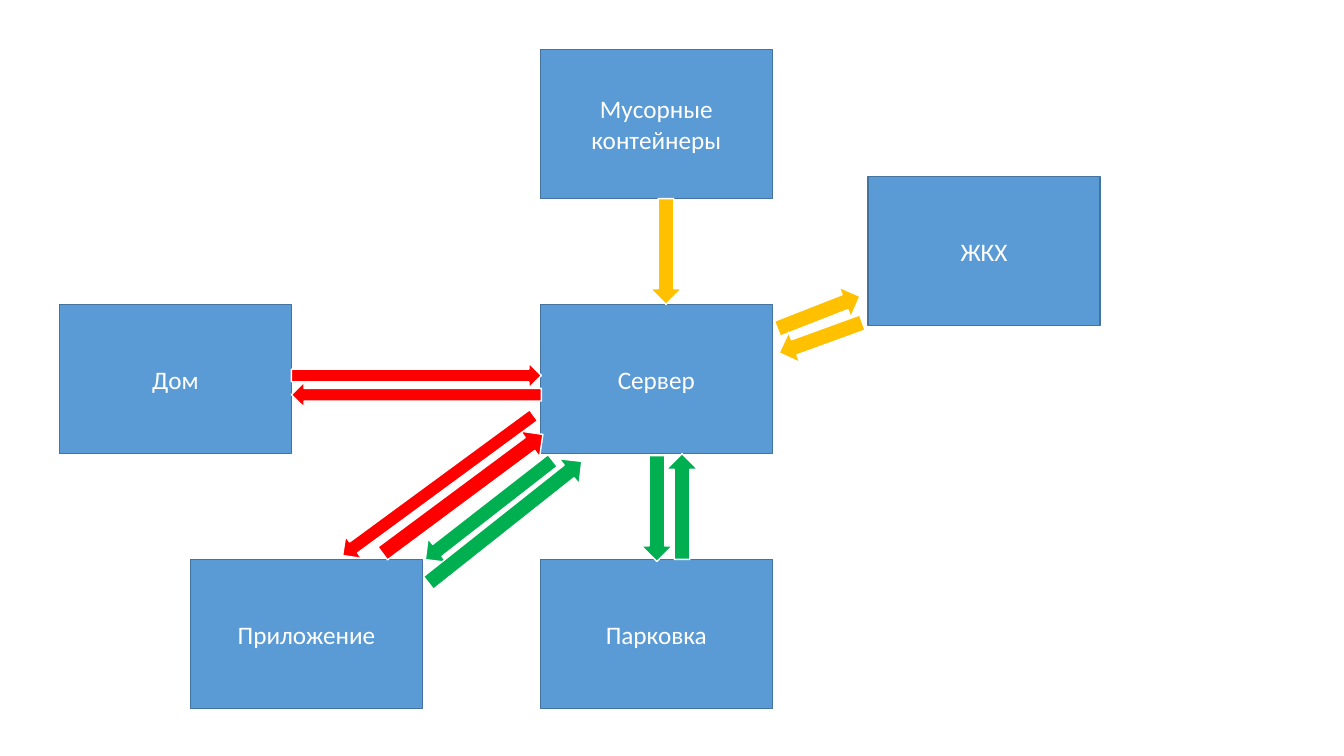
import pptx
import pptx.dml.color
import pptx.enum.shapes
import pptx.enum.text
import pptx.util

Inches = pptx.util.Inches
Pt = pptx.util.Pt
MSO_SHAPE = pptx.enum.shapes.MSO_SHAPE

BLUE, BLUE_EDGE, WHITE = "5B9BD5", "43739E", "FFFFFF"
RED, AMBER, GREEN = "FF0000", "FFC000", "00B050"
BOX_W, BOX_H = 2.3, 1.48
SERVER_X, SERVER_Y, ROW_STEP = 5.36, 3.02, 2.53


def rgb(value):
    return pptx.dml.color.RGBColor.from_string(value)


class Diagram:
    """Holds the style and the current slide of the box and arrow diagram."""

    def __init__(self, slide, font="Calibri", size=18):
        self.s = slide
        self.font = font
        self.size = size

    def shape(self, kind, x, y, w, h, fill, line):
        sp = self.s.shapes.add_shape(kind, Inches(x), Inches(y), Inches(w), Inches(h))
        sp.shadow.inherit = False
        sp.fill.solid()
        sp.fill.fore_color.rgb = rgb(fill)
        sp.line.color.rgb = rgb(line)
        sp.line.width = Pt(1)
        return sp

    def box(self, text, x, y):
        sp = self.shape(MSO_SHAPE.RECTANGLE, x, y, BOX_W, BOX_H, BLUE, BLUE_EDGE)
        tf = sp.text_frame
        tf.word_wrap = True
        tf.vertical_anchor = pptx.enum.text.MSO_ANCHOR.MIDDLE
        p = tf.paragraphs[0]
        p.text = text
        p.alignment = pptx.enum.text.PP_ALIGN.CENTER
        p.font.name = self.font
        p.font.size = Pt(self.size)
        p.font.color.rgb = rgb(WHITE)

    def arrow(self, color, x, y, length, thickness, angle):
        sp = self.shape(MSO_SHAPE.RIGHT_ARROW, x, y, length, thickness, color, WHITE)
        sp.rotation = angle


prs = pptx.Presentation()
prs.slide_width = Inches(13.33)
prs.slide_height = Inches(7.5)
diagram = Diagram(prs.slides.add_slide(prs.slide_layouts[6]))

boxes = [
    ("Дом", 0.59, SERVER_Y),
    ("Мусорные контейнеры", SERVER_X, SERVER_Y - ROW_STEP),
    ("Сервер", SERVER_X, SERVER_Y),
    ("ЖКХ", 8.61, 1.75),
    ("Парковка", SERVER_X, SERVER_Y + ROW_STEP),
    ("Приложение", 1.89, SERVER_Y + ROW_STEP),
]
for text, x, y in boxes:
    diagram.box(text, x, y)

arrows = [
    (RED, 2.89, 3.6, 2.48, 0.25, 0),
    (RED, 2.89, 3.79, 2.48, 0.25, 180),
    (AMBER, 6.08, 2.34, 1.05, 0.31, 90),
    (AMBER, 7.68, 2.94, 0.88, 0.32, 338.6),
    (AMBER, 7.7, 3.19, 0.88, 0.32, 160),
    (GREEN, 5.99, 4.89, 1.05, 0.31, 90),
    (GREEN, 6.24, 4.87, 1.05, 0.31, 270),
    (GREEN, 4.05, 4.91, 1.6, 0.3, 142.1),
    (GREEN, 4.04, 5.02, 1.94, 0.32, 321.6),
    (RED, 3.6, 4.74, 1.98, 0.32, 323.4),
    (RED, 3.17, 4.68, 2.35, 0.27, 143.7),
]
for color, x, y, length, thickness, angle in arrows:
    diagram.arrow(color, x, y, length, thickness, angle)

prs.save("out.pptx")
